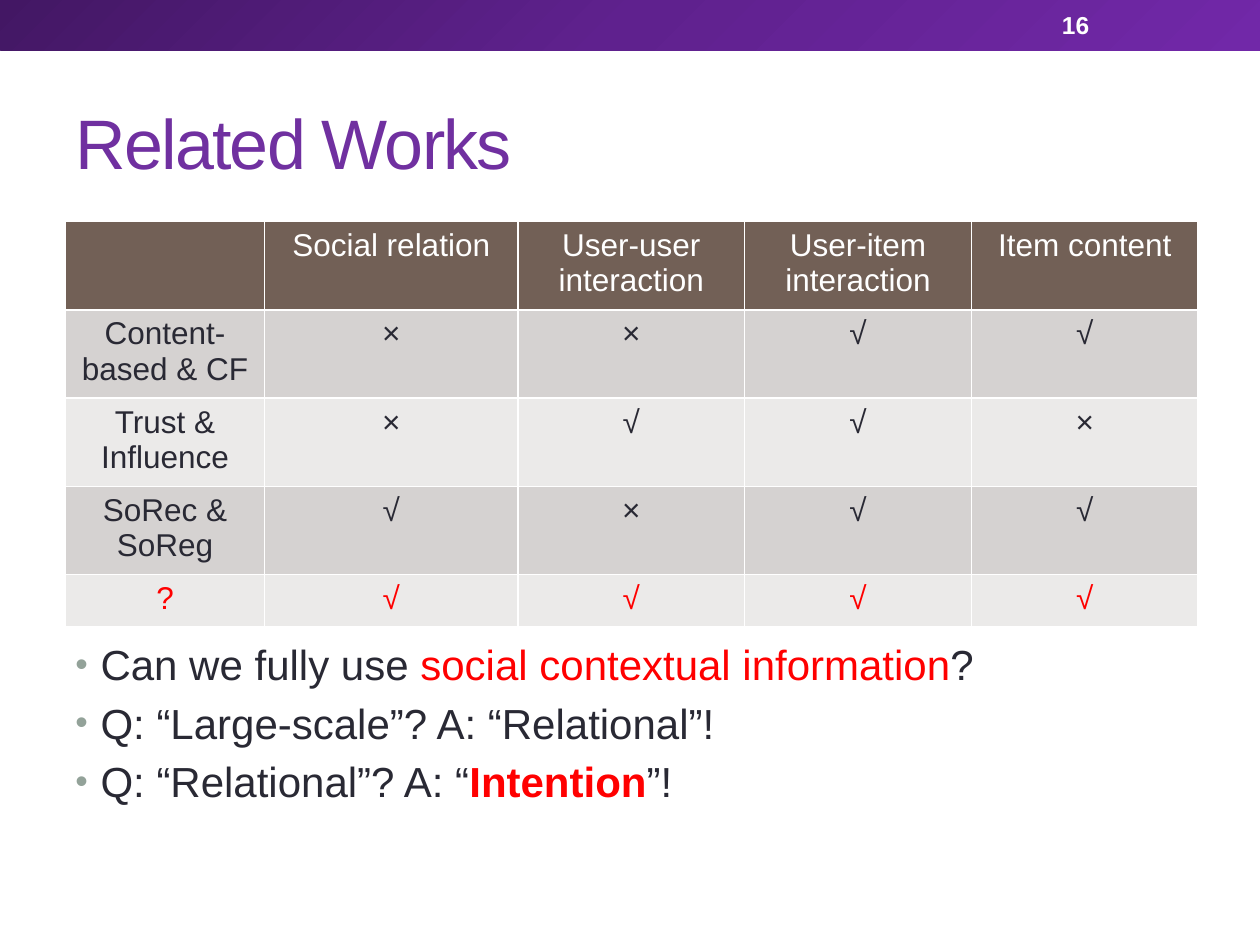
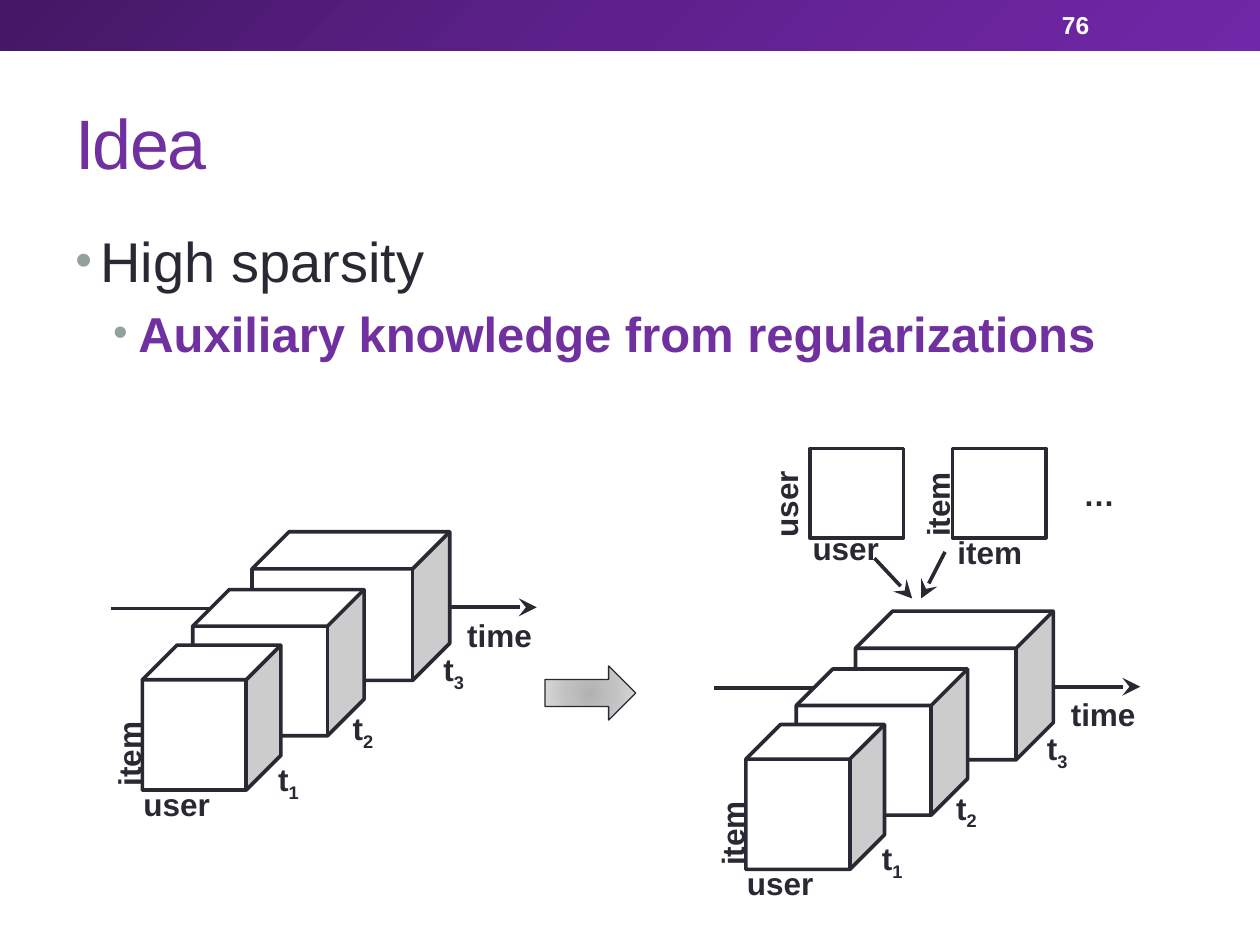
"""Build two slides on related works and on regularized time-sliced tensors."""
from dataclasses import dataclass

from lxml import etree
from pptx import Presentation
from pptx.dml.color import RGBColor
from pptx.enum.shapes import MSO_CONNECTOR as Connector, MSO_SHAPE as Preset
from pptx.enum.text import MSO_ANCHOR as Anchor, MSO_AUTO_SIZE as AutoSize, PP_ALIGN as Align
from pptx.oxml import parse_xml
from pptx.oxml.ns import nsdecls, qn
from pptx.util import Inches, Pt


@dataclass(frozen=True)
class Theme:
    font: str = "Arial"
    ink: str = "292934"
    white: str = "FFFFFF"
    purple: str = "7030A0"
    red: str = "FF0000"
    bullet: str = "93A299"
    header: str = "726056"
    stripes: tuple = ("D5D2D1", "EBEAE9")
    band: tuple = ((0, "431764"), (50, "5F218E"), (100, "7128A8"))
    arrow: tuple = ((0, "B2B2B3"), (45, "C1C1C2"), (100, "DDDDDE"))
    title_size: int = 40
    number_size: int = 14
    label_size: int = 18
    stroke: float = 2.08
    thin_stroke: float = 0.75


THEME = Theme()

RELATED = {
    "title": "Related Works",
    "number": "16",
    "body_top": 5.02,
    "bullets": [
        (0, 24, ["Can we fully use ", ("social contextual information", {"color": THEME.red}), "?"]),
        (0, 24, ["Q: “Large-scale”? A: “Relational”!"]),
        (0, 24, ["Q: “Relational”? A: “", ("Intention", {"color": THEME.red, "bold": True}), "”!"]),
    ],
}
IDEA = {
    "title": "Idea",
    "number": "76",
    "body_top": 1.75,
    "bullets": [
        (0, 32, ["High sparsity"]),
        (1, 28, [("Auxiliary knowledge from regularizations", {"color": THEME.purple, "bold": True})]),
    ],
}

COMPARISON = [
    ["", "Social relation", "User-user interaction", "User-item interaction", "Item content"],
    ["Content-based & CF", "×", "×", "√", "√"],
    ["Trust & Influence", "×", "√", "√", "×"],
    ["SoRec & SoReg", "√", "×", "√", "√"],
    ["?", "√", "√", "√", "√"],
]
COLUMN_WIDTHS = [1.58, 2.01, 1.8, 1.8, 1.8]
ROW_HEIGHT = 0.41
TABLE_HEIGHT = 3.21

TENSOR_ORIGINS = [(0, 0), (4.79, 0.63)]
TIME_AXIS_START = (0.88, 4.83, 1.9, 4.83)
TIME_AXIS_END = (3.57, 4.82, 4.26, 4.82)
TIME_SLICES = [(2, 4.22, 1.57, 1.18), (1.53, 4.68, 1.36, 1.16), (1.13, 5.12, 1.1, 1.15)]
TENSOR_LABELS = [("time", 3.61, 4.84, 0), ("user", 1.04, 6.18, 0), ("item", 0.66, 5.78, 270)]
SLICE_LABELS = [("1", 2.11, 5.98), ("2", 2.7, 5.58), ("3", 3.42, 5.11)]

MATRICES = [(6.43, 3.56, 0.74, 0.71), (7.56, 3.56, 0.74, 0.71)]
MATRIX_LABELS = [
    ("user", 6.35, 4.15, 0), ("user", 5.86, 3.79, 270),
    ("item", 7.08, 3.8, 270), ("item", 7.5, 4.18, 0), ("…", 8.5, 3.72, 0),
]
MATRIX_ARROWS = [(6.94, 4.43, 7.24, 4.75), (7.5, 4.38, 7.31, 4.75)]
LABEL_WIDTHS = {"…": 0.45, "user": 0.75}


def rgb(color):
    return RGBColor.from_string(color)


def write_text(paragraph, runs, size=18, color=THEME.ink, bold=False, align=Align.LEFT, spacing=None):
    paragraph.alignment = align
    for item in runs:
        text, changes = item if isinstance(item, tuple) else (item, {})
        run = paragraph.add_run()
        run.text = text
        run.font.name = THEME.font
        run.font.size = Pt(size)
        run.font.bold = changes.get("bold", bold)
        run.font.color.rgb = rgb(changes.get("color", color))
        properties = run.font._element
        if spacing:
            properties.set("spc", str(spacing))
        if "baseline" in changes:
            properties.set("baseline", str(changes["baseline"]))


def add_text_box(slide, box, wrap=True, anchor=Anchor.TOP):
    shape = slide.shapes.add_textbox(*map(Inches, box))
    shape.text_frame.word_wrap = wrap
    shape.text_frame.vertical_anchor = anchor
    return shape


def add_label(slide, runs, left, top, width, rotation=0):
    shape = add_text_box(slide, (left, top, width, 0.4), wrap=False)
    shape.text_frame.auto_size = AutoSize.SHAPE_TO_FIT_TEXT
    shape.rotation = rotation
    write_text(shape.text_frame.paragraphs[0], runs, size=THEME.label_size, bold=True)


def add_labels(slide, labels, dx=0, dy=0):
    for text, left, top, rotation in labels:
        add_label(slide, [text], left + dx, top + dy, LABEL_WIDTHS.get(text, 0.72), rotation)


def add_shape(slide, preset, box, line_width=None):
    shape = slide.shapes.add_shape(preset, *map(Inches, box))
    shape.shadow.inherit = False
    shape.fill.solid()
    shape.fill.fore_color.rgb = rgb(THEME.white)
    if line_width:
        shape.line.color.rgb = rgb(THEME.ink)
        shape.line.width = Pt(line_width)
    else:
        shape.line.fill.background()
    return shape


def set_gradient(shape, stops, direction):
    stop_xml = "".join(
        f'<a:gs pos="{place * 1000}"><a:srgbClr val="{color}"/></a:gs>' for place, color in stops
    )
    gradient = parse_xml(
        f'<a:gradFill {nsdecls("a")} rotWithShape="1"><a:gsLst>{stop_xml}</a:gsLst>{direction}</a:gradFill>'
    )
    properties = shape._element.spPr
    properties.replace(properties.find(qn("a:solidFill")), gradient)


def add_line(slide, ends, dx=0, dy=0, arrow=False):
    x1, y1, x2, y2 = ends
    points = (x1 + dx, y1 + dy, x2 + dx, y2 + dy)
    line = slide.shapes.add_connector(Connector.STRAIGHT, *map(Inches, points))
    line.line.color.rgb = rgb(THEME.ink)
    line.line.width = Pt(THEME.stroke)
    if arrow:
        etree.SubElement(line.line._get_or_add_ln(), qn("a:tailEnd"), type="stealth", w="lg", len="lg")
    etree.SubElement(line._element.spPr, qn("a:effectLst"))


def add_bullet(paragraph, level):
    paragraph.level = level
    properties = paragraph._element.get_or_add_pPr()
    properties.set("marL", str(Inches(0.2 + 0.3 * level)))
    properties.set("indent", str(Inches(-0.2)))
    color = etree.SubElement(properties, qn("a:buClr"))
    etree.SubElement(color, qn("a:srgbClr"), val=THEME.bullet)
    etree.SubElement(properties, qn("a:buSzPct"), val="85000")
    etree.SubElement(properties, qn("a:buFont"), typeface=THEME.font)
    etree.SubElement(properties, qn("a:buChar"), char="•")


def add_base_slide(presentation, content):
    slide = presentation.slides.add_slide(presentation.slide_layouts[6])
    band = add_shape(slide, Preset.RECTANGLE, (0, 0, 10, 0.4))
    set_gradient(band, THEME.band, '<a:lin ang="2700000" scaled="0"/>')
    number = add_text_box(slide, (8.33, 0.02, 1.17, 0.36), anchor=Anchor.MIDDLE)
    write_text(number.text_frame.paragraphs[0], [content["number"]],
               size=THEME.number_size, color=THEME.white, bold=True)
    title = add_text_box(slide, (0.5, 0.58, 9, 1.08), anchor=Anchor.MIDDLE)
    write_text(title.text_frame.paragraphs[0], [content["title"]],
               size=THEME.title_size, color=THEME.purple, spacing=-100)
    top = content["body_top"]
    frame = add_text_box(slide, (0.5, top, 9, 7.08 - top)).text_frame
    for index, (level, size, runs) in enumerate(content["bullets"]):
        paragraph = frame.add_paragraph() if index else frame.paragraphs[0]
        add_bullet(paragraph, level)
        if index:
            paragraph.space_before = Pt(round(0.19 * size, 1))
        write_text(paragraph, runs, size=size)
    return slide


def style_cell(cell, fill):
    properties = cell._tc.get_or_add_tcPr()
    for side in ("lnL", "lnR", "lnT", "lnB"):
        border = etree.SubElement(properties, qn(f"a:{side}"), w=str(Pt(1)))
        solid = etree.SubElement(border, qn("a:solidFill"))
        etree.SubElement(solid, qn("a:srgbClr"), val=THEME.white)
    cell.fill.solid()
    cell.fill.fore_color.rgb = rgb(fill)


def add_comparison(slide):
    box = (0.52, 1.76, sum(COLUMN_WIDTHS), TABLE_HEIGHT)
    frame = slide.shapes.add_table(len(COMPARISON), len(COLUMN_WIDTHS), *map(Inches, box))
    table = frame.table
    for column, width in zip(table.columns, COLUMN_WIDTHS):
        column.width = Inches(width)
    last = len(COMPARISON) - 1
    for index, (row, texts) in enumerate(zip(table.rows, COMPARISON)):
        row.height = Inches(ROW_HEIGHT)
        fill = THEME.stripes[(index - 1) % 2] if index else THEME.header
        color = {0: THEME.white, last: THEME.red}.get(index, THEME.ink)
        for cell, text in zip(row.cells, texts):
            style_cell(cell, fill)
            write_text(cell.text_frame.paragraphs[0], [text], size=THEME.label_size,
                       color=color, align=Align.CENTER)
    frame.height = Inches(TABLE_HEIGHT)


def add_tensor(slide, dx, dy):
    add_line(slide, TIME_AXIS_START, dx, dy)
    for left, top, width, height in TIME_SLICES:
        add_shape(slide, Preset.CUBE, (left + dx, top + dy, width, height), THEME.stroke)
    add_line(slide, TIME_AXIS_END, dx, dy, arrow=True)
    add_labels(slide, TENSOR_LABELS, dx, dy)
    for step, left, top in SLICE_LABELS:
        add_label(slide, ["t", (step, {"baseline": -25000})], left + dx, top + dy, 0.38)


def add_matrices(slide):
    for box in MATRICES:
        add_shape(slide, Preset.CUBE, box, THEME.stroke).adjustments[0] = 0
    add_labels(slide, MATRIX_LABELS)
    for ends in MATRIX_ARROWS:
        add_line(slide, ends, arrow=True)


def main():
    presentation = Presentation()
    presentation.slide_width, presentation.slide_height = Inches(10), Inches(7.5)

    add_comparison(add_base_slide(presentation, RELATED))

    slide = add_base_slide(presentation, IDEA)
    add_matrices(slide)
    for origin in TENSOR_ORIGINS:
        add_tensor(slide, *origin)
    arrow = add_shape(slide, Preset.DOWN_ARROW, (4.47, 5.14, 0.43, 0.72), THEME.thin_stroke)
    arrow.rotation = 270
    set_gradient(arrow, THEME.arrow,
                 '<a:path path="circle"><a:fillToRect l="50000" t="50000" r="50000" b="50000"/></a:path>')

    presentation.save("out.pptx")


if __name__ == "__main__":
    main()
